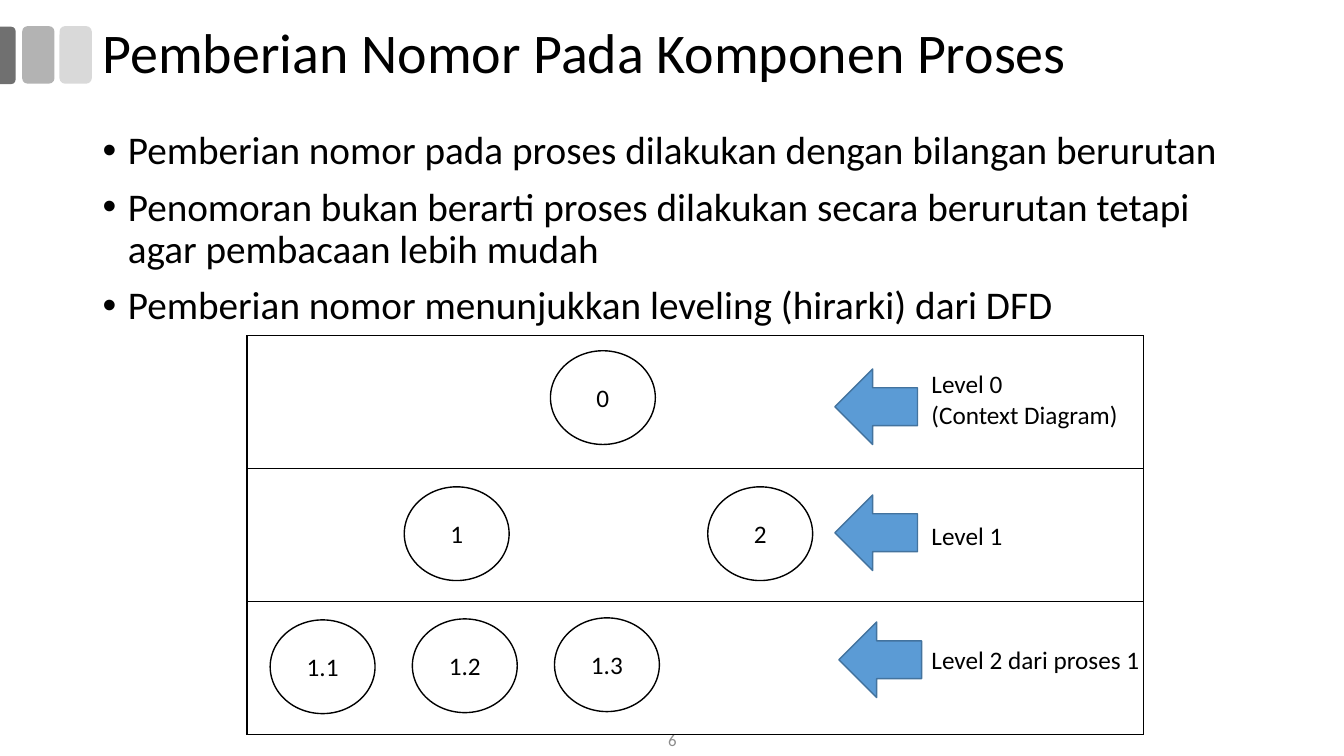
from lxml import etree
from pptx import Presentation
from pptx.dml.color import RGBColor
from pptx.enum.shapes import MSO_SHAPE
from pptx.enum.text import MSO_ANCHOR, PP_ALIGN
from pptx.oxml.ns import qn
from pptx.util import Emu, Pt

PX = 9144  # EMU per px, 100 px to the inch

BLACK = RGBColor(0x00, 0x00, 0x00)
WHITE = RGBColor(0xFF, 0xFF, 0xFF)
BLUE = RGBColor(0x5B, 0x9B, 0xD5)
DARK_BLUE = RGBColor(0x43, 0x73, 0x9E)
GREY = RGBColor(0x8C, 0x8C, 0x8C)
LIGHT_TAB = RGBColor(0xD9, 0xD9, 0xD9)
MIDDLE_TAB = RGBColor(0xB3, 0xB3, 0xB3)
DARK_TAB = RGBColor(0x70, 0x70, 0x70)

ROUNDED, ROUNDED_TOP = MSO_SHAPE.ROUNDED_RECTANGLE, MSO_SHAPE.ROUND_2_SAME_RECTANGLE
OVAL, LEFT_ARROW = MSO_SHAPE.OVAL, MSO_SHAPE.LEFT_ARROW
TOP, MIDDLE = MSO_ANCHOR.TOP, MSO_ANCHOR.MIDDLE
LEFT, CENTER = PP_ALIGN.LEFT, PP_ALIGN.CENTER

FONT = "Calibri"
BULLETS = [
    "Pemberian nomor pada proses dilakukan dengan bilangan berurutan",
    "Penomoran bukan berarti proses dilakukan secara berurutan tetapi agar pembacaan lebih mudah",
    "Pemberian nomor menunjukkan leveling (hirarki) dari DFD",
]
PROCESSES = [
    ("0", 546, 348),
    ("1", 401, 483), ("2", 702, 483),
    ("1.1", 268, 615), ("1.2", 409, 614), ("1.3", 550, 613),
]
# Label lines, label top, arrow left, arrow top
LEVELS = [
    (["Level 0", "(Context Diagram)"], 361, 828, 366),
    (["Level 1"], 511, 828, 491),
    (["Level 2 dari proses 1"], 634, 832, 617),
]


def box(*lengths):
    return [Emu(length * PX) for length in lengths]


def write(frame, lines, size=18, color=BLACK, align=LEFT, anchor=TOP,
          wrap=True, spacing=None, before=0, bullet=False):
    frame.word_wrap = wrap
    frame.vertical_anchor = anchor
    for index, line in enumerate(lines):
        paragraph = frame.paragraphs[0] if index == 0 else frame.add_paragraph()
        paragraph.alignment = align
        paragraph.space_before = Pt(before)
        if spacing:
            paragraph.line_spacing = spacing
        run = paragraph.add_run()
        run.text = line
        run.font.name = FONT
        run.font.size = Pt(size)
        run.font.color.rgb = color
        if bullet:
            add_bullet(paragraph)


def add_bullet(paragraph):
    properties = paragraph._p.get_or_add_pPr()
    properties.set("marL", str(25 * PX))
    properties.set("indent", str(-25 * PX))
    etree.SubElement(properties, qn("a:buFont"), typeface="Arial")
    etree.SubElement(properties, qn("a:buChar"), char="•")


def add_text(slide, place, lines, **text_format):
    write(slide.shapes.add_textbox(*box(*place)).text_frame, lines, **text_format)


def add_figure(slide, kind, place, fill, outline=None):
    figure = slide.shapes.add_shape(kind, *box(*place))
    figure.shadow.inherit = False
    figure.fill.solid()
    figure.fill.fore_color.rgb = fill
    if outline is None:
        figure.line.fill.background()
    else:
        figure.line.color.rgb = outline
        figure.line.width = Pt(1)
    return figure


def add_process(slide, number, left, top):
    circle = add_figure(slide, OVAL, (left, top, 104, 93), WHITE, BLACK)
    write(circle.text_frame, [number], align=CENTER, anchor=MIDDLE)


def add_border(cell):
    properties = cell._tc.get_or_add_tcPr()
    for index, side in enumerate(("a:lnL", "a:lnR", "a:lnT", "a:lnB")):
        line = etree.Element(qn(side), w=str(Pt(1)))
        fill = etree.SubElement(line, qn("a:solidFill"))
        etree.SubElement(fill, qn("a:srgbClr"), val=str(BLACK))
        properties.insert(index, line)


def add_level_table(slide):
    levels = slide.shapes.add_table(len(LEVELS), 1, *box(245, 333, 889, 396)).table
    levels.first_row = False
    levels.horz_banding = False
    for row in levels.rows:
        row.height = Emu(132 * PX)
        cell = row.cells[0]
        cell.fill.background()
        add_border(cell)


def main():
    deck = Presentation()
    deck.slide_width, deck.slide_height = box(1333, 750)
    slide = deck.slides.add_slide(deck.slide_layouts[6])

    # Grey tabs beside the title
    add_figure(slide, ROUNDED, (59, 26, 32, 57), LIGHT_TAB)
    add_figure(slide, ROUNDED, (22, 26, 32, 57), MIDDLE_TAB)
    edge_tab = add_figure(slide, ROUNDED_TOP, (-21, 47, 57, 16), DARK_TAB)
    edge_tab.rotation = 90
    edge_tab.adjustments[0] = 0.29

    # Title, bullets and page number
    add_text(slide, (92, 17, 1240, 75), ["Pemberian Nomor Pada Komponen Proses"],
             size=40, anchor=MIDDLE, spacing=0.9)
    add_text(slide, (92, 125, 1150, 583), BULLETS,
             size=28, spacing=0.9, before=10, bullet=True)
    add_text(slide, (517, 717, 300, 33), ["6"],
             size=12, color=GREY, align=CENTER, anchor=MIDDLE)

    # Levels with their numbered processes
    add_level_table(slide)
    for number, left, top in PROCESSES:
        add_process(slide, number, left, top)
    for lines, label_top, arrow_left, arrow_top in LEVELS:
        add_text(slide, (914, label_top, 229, 40 * len(lines)), lines, wrap=False)
        add_figure(slide, LEFT_ARROW, (arrow_left, arrow_top, 82, 75), BLUE, DARK_BLUE)

    deck.save("out.pptx")


if __name__ == "__main__":
    main()
